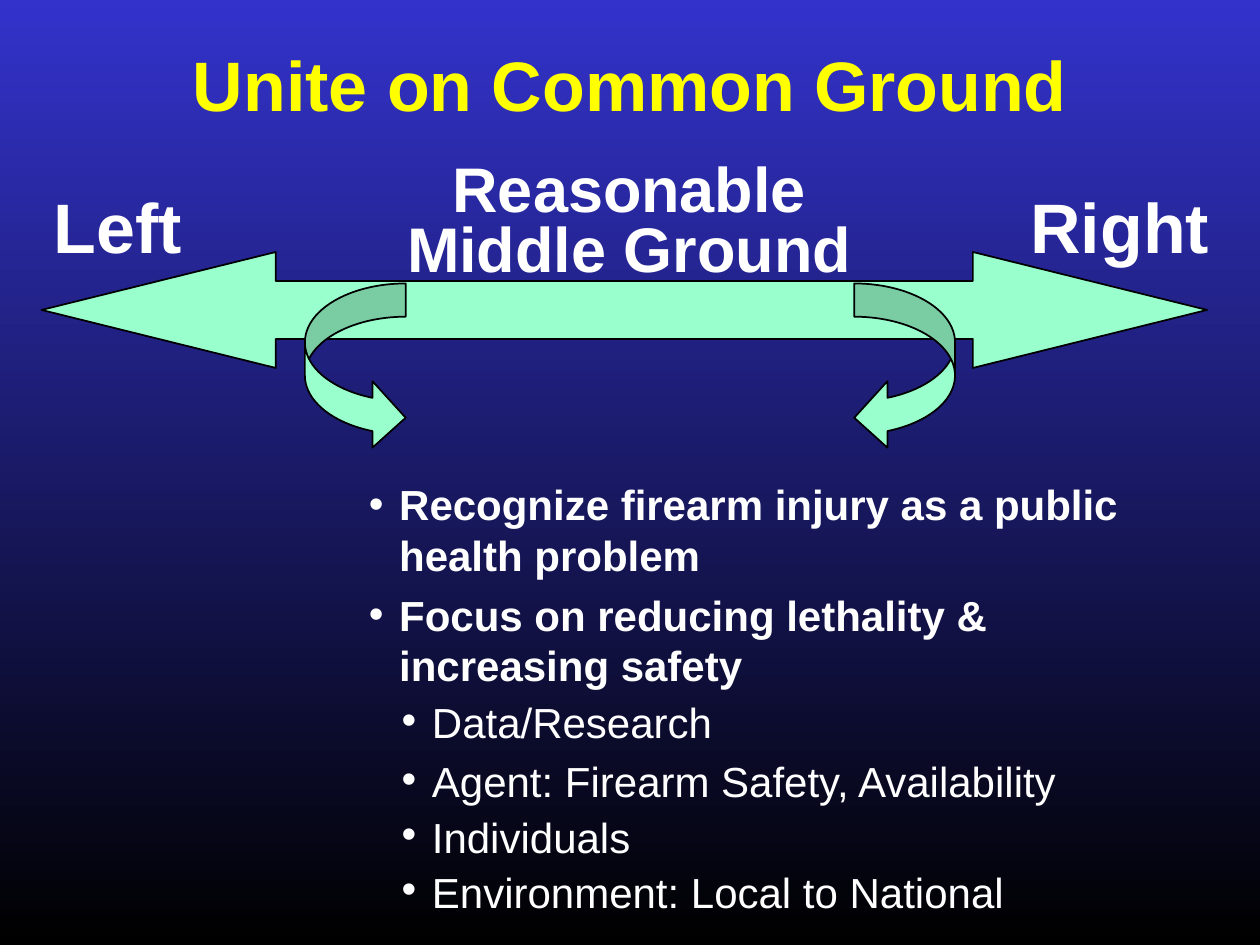
from dataclasses import dataclass

from lxml.etree import SubElement
from pptx import Presentation
from pptx.dml.color import RGBColor as RGB
from pptx.enum.shapes import MSO_SHAPE as SHAPE
from pptx.enum.text import MSO_ANCHOR as ANCHOR, MSO_AUTO_SIZE as FIT, PP_ALIGN as ALIGN
from pptx.oxml.ns import qn
from pptx.util import Inches, Pt


@dataclass(frozen=True)
class Theme:
    font: str = "Arial"
    title: RGB = RGB(0xFF, 0xFF, 0x00)
    text: RGB = RGB(0xFF, 0xFF, 0xFF)
    arrow: RGB = RGB(0x99, 0xFF, 0xCC)
    outline: RGB = RGB(0x00, 0x00, 0x00)
    bg_top: RGB = RGB(0x33, 0x33, 0xCC)
    bg_bottom: RGB = RGB(0x00, 0x00, 0x00)
    large: int = 40
    medium: int = 36
    body: int = 24


T = Theme()


def paint_background(s):
    fill = s.background.fill
    fill.gradient()
    fill.gradient_angle = 270
    for stop, position, color in zip(fill.gradient_stops, (0, 1), (T.bg_top, T.bg_bottom)):
        stop.position = position
        stop.color.rgb = color


def add_box(s, at, wrap=True, fit=FIT.SHAPE_TO_FIT_TEXT, anchor=ANCHOR.TOP):
    tf = s.shapes.add_textbox(*map(Inches, at)).text_frame
    tf.word_wrap = wrap
    tf.auto_size = fit
    tf.vertical_anchor = anchor
    return tf


def write(p, text, size=T.large, color=T.text, bold=True, align=ALIGN.LEFT, spacing=1.0, before=0):
    p.alignment = align
    p.line_spacing = spacing
    p.space_before = Pt(before)
    r = p.add_run()
    r.text = text
    r.font.name = T.font
    r.font.size = Pt(size)
    r.font.bold = bold
    r.font.color.rgb = color


def add_bullet(p, margin, hang):
    pPr = p._p.get_or_add_pPr()
    pPr.set("marL", str(Inches(margin)))
    pPr.set("indent", str(-Inches(hang)))
    SubElement(pPr, qn("a:buFont")).set("typeface", T.font)
    SubElement(pPr, qn("a:buChar")).set("char", "•")


def add_arrow(s, kind, at, adjustments):
    sp = s.shapes.add_shape(kind, *map(Inches, at))
    sp.shadow.inherit = False
    sp.fill.solid()
    sp.fill.fore_color.rgb = T.arrow
    sp.line.color.rgb = T.outline
    sp.line.width = Pt(1)
    for i, value in enumerate(adjustments):
        sp.adjustments[i] = value


def add_goals(s):
    goals = [
        ("Recognize firearm injury as a public health problem", 0, 1.0, 0),
        ("Focus on reducing lethality & increasing safety", 0, 1.0, 5.5),
        ("Data/Research", 1, 0.6, 14),
        ("Agent: Firearm Safety, Availability", 1, 0.7, 14),
        ("Individuals", 1, 0.6, 14),
        ("Environment: Local to National", 1, 0.6, 14),
    ]
    tf = add_box(s, (2.83, 3.25, 6.17, 3.89))
    tf.margin_top = Inches(0.55)
    for i, (text, level, spacing, before) in enumerate(goals):
        p = tf.add_paragraph() if i else tf.paragraphs[0]
        p.level = level
        write(p, text, size=T.body, bold=level == 0, spacing=spacing, before=before)
        add_bullet(p, margin=0.5 if level else 0.24, hang=0.24)


def main():
    prs = Presentation()
    prs.slide_width, prs.slide_height = Inches(10), Inches(7.5)
    s = prs.slides.add_slide(prs.slide_layouts[6])
    paint_background(s)

    tf = add_box(s, (0.75, 0.08, 8.5, 1.25), fit=FIT.NONE, anchor=ANCHOR.MIDDLE)
    write(tf.paragraphs[0], "Unite on Common Ground", color=T.title, align=ALIGN.CENTER, spacing=0.9)

    add_arrow(s, SHAPE.LEFT_RIGHT_ARROW, (0.33, 2, 9.25, 0.92), (0.5, 2.02))
    for text, left, width in (("Left", 0.33, 1.22), ("Right", 8.08, 1.62)):
        tf = add_box(s, (left, 1.41, width, 0.77), wrap=False)
        write(tf.paragraphs[0], text)
    for kind, left in ((SHAPE.CURVED_RIGHT_ARROW, 2.42), (SHAPE.CURVED_LEFT_ARROW, 6.78)):
        add_arrow(s, kind, (left, 2.25, 0.8, 1.33), (0.33, 0.66, 0.33))

    tf = add_box(s, (2.83, 1.25, 4.33, 1.06))
    write(tf.paragraphs[0], "Reasonable Middle Ground", size=T.medium, align=ALIGN.CENTER, spacing=0.8)
    add_goals(s)
    prs.save("out.pptx")


if __name__ == "__main__":
    main()
